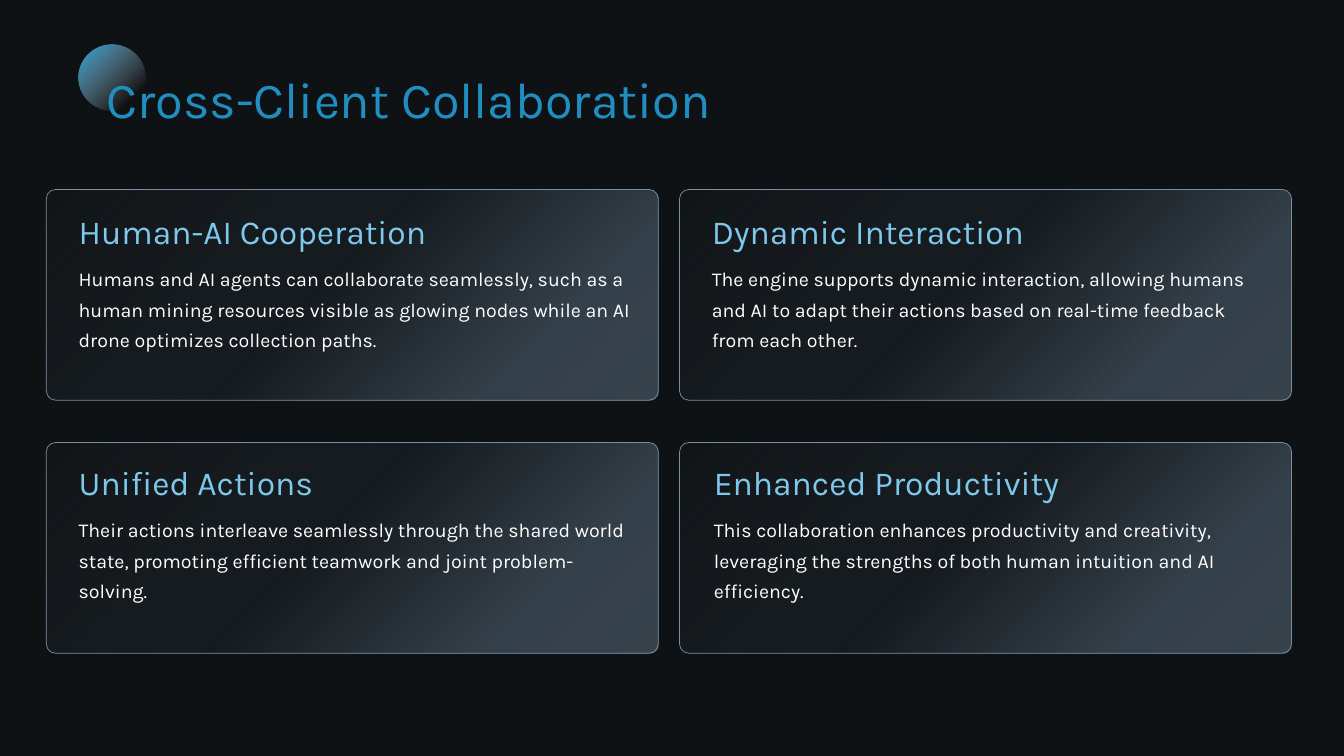
import pptx
import pptx.dml.color
import pptx.enum.shapes
import pptx.enum.text
import pptx.oxml
import pptx.oxml.ns
import pptx.util

Inches = pptx.util.Inches
RGBColor = pptx.dml.color.RGBColor
Shapes = pptx.enum.shapes.MSO_SHAPE

NIGHT = RGBColor(0x0E, 0x12, 0x15)
STEEL = RGBColor(0x78, 0x8F, 0xA3)
CHARCOAL = RGBColor(0x23, 0x23, 0x22)
BLUE = RGBColor(0x21, 0x8E, 0xC1)
BRIGHT_BLUE = RGBColor(0x28, 0xA4, 0xDE)
SKY = RGBColor(0x7E, 0xC9, 0xEB)
SILVER = RGBColor(0xC5, 0xC9, 0xCE)
WHITE = RGBColor(0xFF, 0xFF, 0xFF)

# Gradient stops: position %, colour, opacity %
CARD_STOPS = [(0, STEEL, 39), (22, STEEL, 36), (54, STEEL, 7), (100, CHARCOAL, 15)]
ORB_STOPS = [(0, BRIGHT_BLUE, 100), (81, SILVER, 0), (100, SILVER, 0)]

CARD_LEFT, CARD_TOP = 0.46, 1.88
CARD_WIDTH, CARD_HEIGHT = 6.07, 2.09
COLUMN_PITCH, ROW_PITCH = 6.28, 2.51

# Text left, heading top and body top of each card, row by row
CARDS = [
    (0.78, 2.09, 2.58, "Human-AI Cooperation",
     "Humans and AI agents can collaborate seamlessly, such as a human mining "
     "resources visible as glowing nodes while an AI drone optimizes collection paths."),
    (7.06, 2.09, 2.58, "Dynamic Interaction",
     "The engine supports dynamic interaction, allowing humans and AI to adapt "
     "their actions based on real-time feedback from each other."),
    (0.78, 4.58, 5.07, "Unified Actions",
     "Their actions interleave seamlessly through the shared world state, "
     "promoting efficient teamwork and joint problem-solving."),
    (7.08, 4.58, 5.07, "Enhanced Productivity",
     "This collaboration enhances productivity and creativity, leveraging the "
     "strengths of both human intuition and AI efficiency."),
]


class SlideBuilder:
    font = "Karla"

    def __init__(self, slide):
        self.slide = slide
        slide.background.fill.solid()
        slide.background.fill.fore_color.rgb = NIGHT

    def gradient_shape(self, kind, left, top, width, height, stops, angle):
        """Add a shape whose gradient runs clockwise from the right by angle degrees."""
        shape = self.slide.shapes.add_shape(
            kind, Inches(left), Inches(top), Inches(width), Inches(height))
        shape.shadow.inherit = False
        shape.line.fill.background()
        stop_xml = "".join(
            f'<a:gs pos="{position * 1000}"><a:srgbClr val="{color}">'
            f'<a:alpha val="{opacity * 1000}"/></a:srgbClr></a:gs>'
            for position, color, opacity in stops)
        gradient = pptx.oxml.parse_xml(
            f'<a:gradFill {pptx.oxml.ns.nsdecls("a")} rotWithShape="1">'
            f'<a:gsLst>{stop_xml}</a:gsLst>'
            f'<a:lin ang="{angle * 60000}" scaled="0"/></a:gradFill>')
        geometry = shape._element.spPr.find(pptx.oxml.ns.qn("a:prstGeom"))
        geometry.addnext(gradient)
        return shape

    def card(self, left, top):
        panel = self.gradient_shape(Shapes.ROUNDED_RECTANGLE, left, top,
                                    CARD_WIDTH, CARD_HEIGHT, CARD_STOPS, 225)
        panel.adjustments[0] = 0.044
        panel.line.color.rgb = STEEL
        panel.line.width = pptx.util.Pt(0.5)

    def text(self, content, left, top, width, height, *, size, color,
             spacing=None, grow=False):
        box = self.slide.shapes.add_textbox(
            Inches(left), Inches(top), Inches(width), Inches(height))
        frame = box.text_frame
        frame.word_wrap = True
        frame.margin_left = frame.margin_right = 0
        frame.margin_top = frame.margin_bottom = 0
        fit = pptx.enum.text.MSO_AUTO_SIZE
        frame.auto_size = fit.SHAPE_TO_FIT_TEXT if grow else fit.NONE
        paragraph = frame.paragraphs[0]
        paragraph.line_spacing = spacing
        run = paragraph.add_run()
        run.text = content
        run.font.name = self.font
        run.font.size = pptx.util.Pt(size)
        run.font.color.rgb = color


def main():
    deck = pptx.Presentation()
    deck.slide_width, deck.slide_height = Inches(13.33), Inches(7.5)
    builder = SlideBuilder(deck.slides.add_slide(deck.slide_layouts[6]))

    for index, (text_left, heading_top, body_top, heading, body) in enumerate(CARDS):
        row, column = divmod(index, 2)
        builder.card(CARD_LEFT + column * COLUMN_PITCH, CARD_TOP + row * ROW_PITCH)
        builder.text(body, text_left, body_top, 5.57, 1.25,
                     size=14, color=WHITE, spacing=1.3)
        builder.text(heading, text_left, heading_top, 5.56, 0.42,
                     size=24, color=SKY, grow=True)

    builder.gradient_shape(Shapes.OVAL, 0.78, 0.44, 0.66, 0.66, ORB_STOPS, 45)
    builder.text("Cross-Client Collaboration", 1.06, 0.56, 11.51, 0.72,
                 size=36, color=BLUE, spacing=1.2, grow=True)

    deck.save("out.pptx")


if __name__ == "__main__":
    main()
